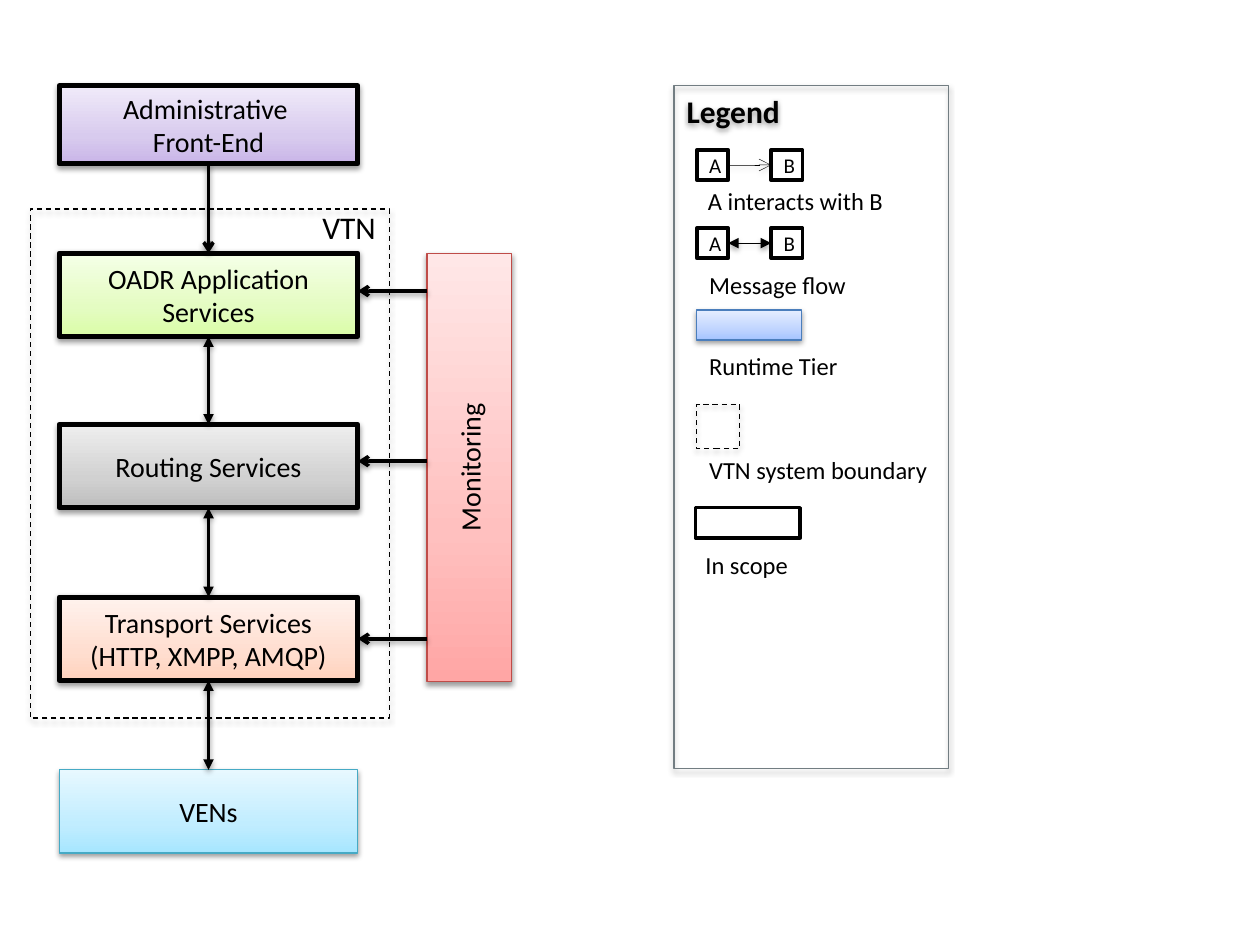
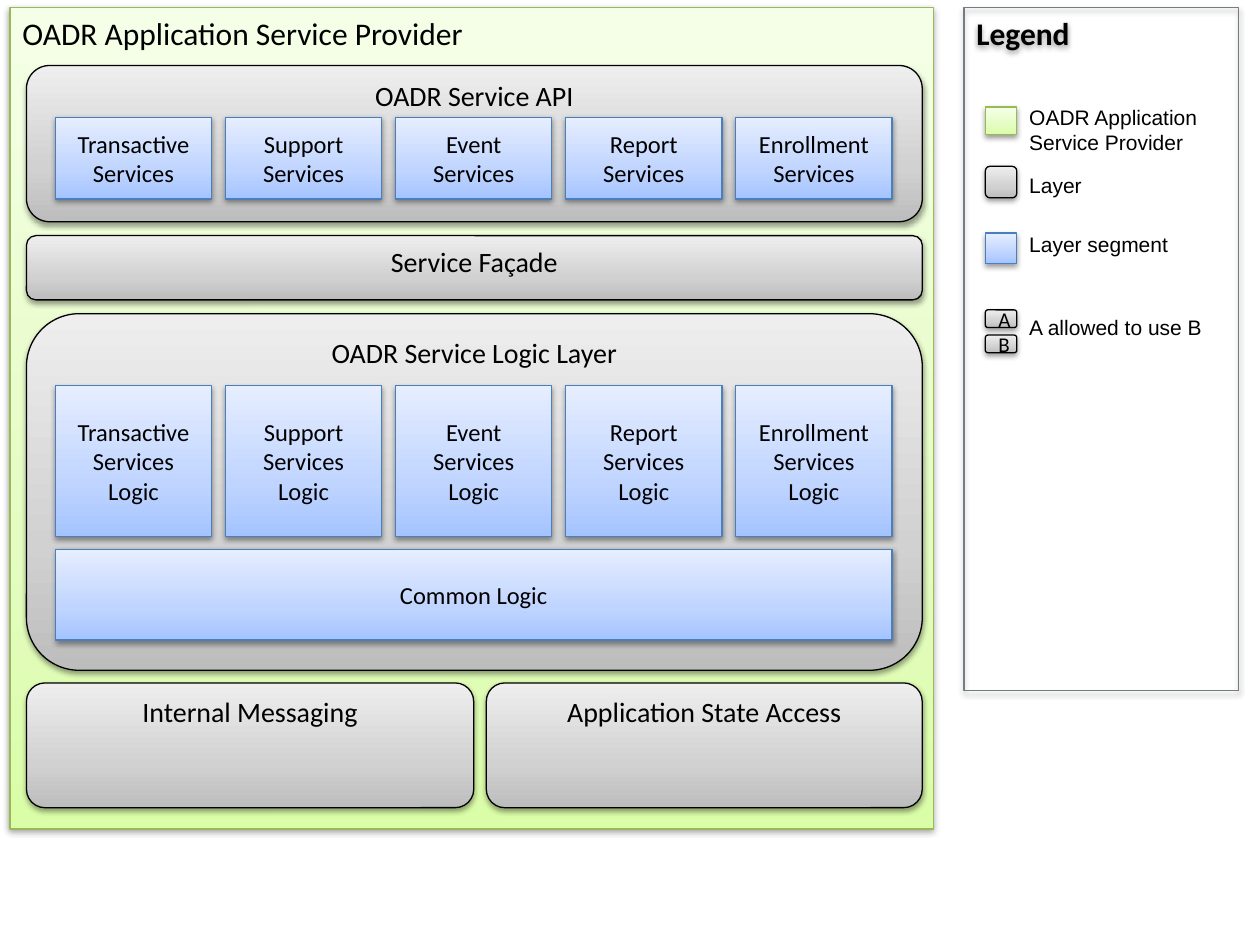
"""Build the VTN tier diagram and the application service provider layer diagram."""
from lxml import etree
from pptx import Presentation, util as u
from pptx.dml.color import RGBColor
from pptx.enum import dml, shapes, text
from pptx.oxml import ns

COLORS = {"black": "000000", "white": "FFFFFF", "green_edge": "98B955", "blue_edge": "4B7EBC",
          "red_edge": "BF4C48", "cyan_edge": "46AAC5", "legend_edge": "727D82"}
GRADIENTS = {
    "green": ("DAFDA7", "E4FCC2", "F5FFE7"),
    "purple": ("C9B5E8", "D8CBEE", "F0EAF9"),
    "gray": ("BDBDBD", "D1D1D1", "EEEEEE"),
    "orange": ("FFD2BD", "FFDED0", "FFF2ED"),
    "cyan": ("A7E6FF", "C1EDFF", "E7F8FF"),
    "red": ("FFA6A5", "FFC0BF", "FFE7E7"),
    "blue": ("A4C4FF", "BFD4FF", "E6EEFF"),
}
STOPS = (0, 35, 100)
LEFT, CENTER = text.PP_ALIGN.LEFT, text.PP_ALIGN.CENTER
TOP, MIDDLE = text.MSO_ANCHOR.TOP, text.MSO_ANCHOR.MIDDLE
RECT, ROUND = shapes.MSO_SHAPE.RECTANGLE, shapes.MSO_SHAPE.ROUNDED_RECTANGLE
SERVICES = ("Transactive", "Support", "Event", "Report", "Enrollment")


def rgb(name):
    """Return the named colour."""
    return RGBColor.from_string(COLORS[name])


def add_child(parent, tag, **attributes):
    """Append a DrawingML element and return it."""
    child = etree.SubElement(parent, ns.qn(tag))
    for name, value in attributes.items():
        child.set(name, str(value))
    return child


def add_shadow(properties, alpha=38, distance=20000):
    """Put a soft downward shadow into shape properties."""
    effects = properties.find(ns.qn("a:effectLst"))
    if effects is None:
        effects = add_child(properties, "a:effectLst")
    shadow = add_child(effects, "a:outerShdw", blurRad=40000, dist=distance,
                       dir=5400000, rotWithShape=0)
    color = add_child(shadow, "a:srgbClr", val=COLORS["black"])
    add_child(color, "a:alpha", val=alpha * 1000)


def paint(box, fill):
    """Fill a box with a named gradient, a plain colour or nothing."""
    if fill is None:
        box.fill.background()
    elif fill in GRADIENTS:
        box.fill.gradient()
        box.fill.gradient_angle = 90
        stops = next(box._element.spPr.iter(ns.qn("a:gsLst")))
        for stop in list(stops):
            stops.remove(stop)
        for position, color in zip(STOPS, GRADIENTS[fill]):
            stop = add_child(stops, "a:gs", pos=position * 1000)
            add_child(stop, "a:srgbClr", val=color)
    else:
        box.fill.solid()
        box.fill.fore_color.rgb = rgb(fill)


def write(frame, words, size, align=LEFT, font="Calibri", bold=False):
    """Write one paragraph for each line of words."""
    for index, line in enumerate(words.split("\n")):
        para = frame.paragraphs[0] if index == 0 else frame.add_paragraph()
        para.add_run().text = line
        para.alignment = align
        para.font.size, para.font.name, para.font.bold = u.Pt(size), font, bold
        para.font.color.rgb = rgb("black")


def add_box(page, place, fill=None, edge="black", weight=0.75, words="", size=16,
            align=CENTER, anchor=MIDDLE, kind=RECT, bold=False, shadow=True):
    """Draw a box, with its words if there are any."""
    box = page.shapes.add_shape(kind, *map(u.Inches, place))
    if kind == ROUND:
        box.adjustments[0] = 0.148
    paint(box, fill)
    box.line.color.rgb, box.line.width = rgb(edge), u.Pt(weight)
    box.shadow.inherit = False
    if shadow:
        add_shadow(box._element.spPr)
    frame = box.text_frame
    frame.word_wrap, frame.vertical_anchor = True, anchor
    if words:
        write(frame, words, size, align, bold=bold)
    return box


def add_boundary(page, place):
    """Draw a dashed, unfilled system boundary."""
    box = add_box(page, place, shadow=False)
    box.line.dash_style = dml.MSO_LINE.DASH
    add_shadow(box._element.spPr, 35, 23000)


def add_layer(page, place, words=""):
    """Draw a rounded gray layer with its title at the top."""
    add_box(page, place, "gray", words=words, anchor=TOP, kind=ROUND)


def add_segment(page, place, words=""):
    """Draw a blue layer segment."""
    add_box(page, place, "blue", "blue_edge", words=words, size=14)


def add_label(page, left, top, width, height, words, size=14, font="Calibri"):
    """Add unwrapped text."""
    label = page.shapes.add_textbox(*map(u.Inches, (left, top, width, height)))
    label.text_frame.word_wrap = False
    label.text_frame.auto_size = text.MSO_AUTO_SIZE.SHAPE_TO_FIT_TEXT
    write(label.text_frame, words, size, font=font)


def add_arrow(page, start, end, both=False, joins=(None, None), elbow=False):
    """Draw an arrow; each join is a (box, side) pair or None."""
    kind = shapes.MSO_CONNECTOR.ELBOW if elbow else shapes.MSO_CONNECTOR.STRAIGHT
    arrow = page.shapes.add_connector(kind, *map(u.Inches, start + end))
    if joins[0]:
        arrow.begin_connect(*joins[0])
    if joins[1]:
        arrow.end_connect(*joins[1])
    arrow.line.color.rgb, arrow.line.width = rgb("black"), u.Pt(0.25 if elbow else 2)
    line = arrow.line._get_or_add_ln()
    if both:
        add_child(line, "a:headEnd", type="triangle")
    add_child(line, "a:tailEnd", type="triangle" if both else "arrow")
    if elbow:
        add_shadow(arrow._element.spPr, 35, 23000)
    else:
        add_shadow(arrow._element.spPr)


def add_legend(page, left, top):
    """Draw the legend frame."""
    add_box(page, (left, top, 2.18, 5.42), edge="legend_edge", words="Legend", size=18,
            align=LEFT, anchor=TOP, bold=True)


def add_key_pair(page, top, both):
    """Draw the legend key of two boxes joined by an arrow."""
    first, second = [add_box(page, (left, top, 0.25, 0.24), "white", weight=2, words=words,
                             size=12, align=LEFT, shadow=False)
                     for left, words in ((5.53, "A"), (6.12, "B"))]
    middle = top + 0.12
    add_arrow(page, (5.78, middle), (6.12, middle), both, ((first, 3), (second, 1)), elbow=True)


def build_tiers(page):
    """Draw the runtime tiers of the VTN."""
    tiers = [add_box(page, (0.47, top, 2.37, height), fill, edge, weight, words)
             for top, height, fill, edge, weight, words in (
                 (0.68, 0.62, "purple", "black", 3, "Administrative \nFront-End"),
                 (2.01, 0.66, "green", "black", 3, "OADR Application Services"),
                 (3.37, 0.66, "gray", "black", 3, "Routing Services"),
                 (4.74, 0.66, "orange", "black", 3, "Transport Services\n(HTTP, XMPP, AMQP)"),
                 (6.11, 0.66, "cyan", "cyan_edge", 0.75, "VENs"))]
    for index, (upper, lower) in enumerate(zip(tiers, tiers[1:])):
        add_arrow(page, (1.66, 1.3), (1.66, 2.01), index > 0, ((upper, 2), (lower, 0)))
    add_boundary(page, (0.24, 1.66, 2.85, 4.04))
    add_label(page, 2.46, 1.6, 0.63, 0.4, "VTN", 18)

    monitoring = add_box(page, (3.39, 2.01, 0.67, 3.4), "red", "red_edge", words="Monitoring")
    monitoring.text_frame._txBody.bodyPr.set("vert", "vert270")
    for level, join in ((2.31, None), (3.66, None), (5.07, (tiers[3], 3))):
        add_arrow(page, (3.39, level), (2.84, level), joins=(None, join))

    add_legend(page, 5.35, 0.68)
    add_key_pair(page, 1.19, both=False)
    add_key_pair(page, 1.81, both=True)
    add_segment(page, (5.53, 2.46, 0.83, 0.24))
    add_boundary(page, (5.53, 3.21, 0.34, 0.35))
    add_box(page, (5.52, 4.03, 0.83, 0.24), "white", weight=2, shadow=False)
    for left, top, width, words in ((5.52, 1.43, 1.61, "A interacts with B"),
                                    (5.53, 2.09, 1.3, "Message flow"),
                                    (5.53, 2.74, 1.23, "Runtime Tier"),
                                    (5.53, 3.56, 1.96, "VTN system boundary"),
                                    (5.5, 4.32, 0.86, "In scope")):
        add_label(page, left, top, width, 0.34, words)


def build_layers(page):
    """Draw the layers of the application service provider."""
    add_box(page, (0.08, 0.06, 7.33, 6.52), "green", "green_edge", size=18, align=LEFT,
            anchor=TOP, words="OADR Application Service Provider")
    for left, top, width, height, words in (
            (0.21, 0.52, 7.11, 1.24, "OADR Service API"),
            (0.21, 1.87, 7.11, 0.51, "Service Façade"),
            (0.21, 2.49, 7.11, 2.83, "OADR Service Logic Layer"),
            (0.21, 5.42, 3.55, 0.99, "Internal Messaging"),
            (3.86, 5.42, 3.46, 0.99, "Application State Access")):
        add_layer(page, (left, top, width, height), words)
    for column, service in enumerate(SERVICES):
        left = 0.44 + 1.35 * column
        add_segment(page, (left, 0.93, 1.24, 0.65), f"{service}\nServices")
        add_segment(page, (left, 3.06, 1.24, 1.2), f"{service}\nServices\nLogic")
    add_segment(page, (0.44, 4.36, 6.64, 0.72), "Common Logic")

    add_legend(page, 7.65, 0.06)
    add_box(page, (7.82, 0.85, 0.25, 0.22), "green", "green_edge")
    add_layer(page, (7.82, 1.32, 0.25, 0.25))
    add_segment(page, (7.82, 1.85, 0.25, 0.24))
    for top, words in ((2.46, "A"), (2.66, "B")):
        add_box(page, (7.82, top, 0.25, 0.14), "gray", words=words, size=12, align=LEFT,
                kind=ROUND)
    for top, width, height, words in ((0.78, 1.55, 0.5, "OADR Application\nService Provider"),
                                      (1.32, 0.62, 0.3, "Layer"),
                                      (1.79, 1.32, 0.3, "Layer segment"),
                                      (2.45, 1.6, 0.3, "A allowed to use B")):
        add_label(page, 8.07, top, width, height, words, 12, "Arial")


def main():
    """Build and save the deck."""
    deck = Presentation()
    deck.slide_width, deck.slide_height = u.Inches(10), u.Inches(7.5)
    for build in (build_tiers, build_layers):
        build(deck.slides.add_slide(deck.slide_layouts[6]))
    deck.save("out.pptx")


if __name__ == "__main__":
    main()
